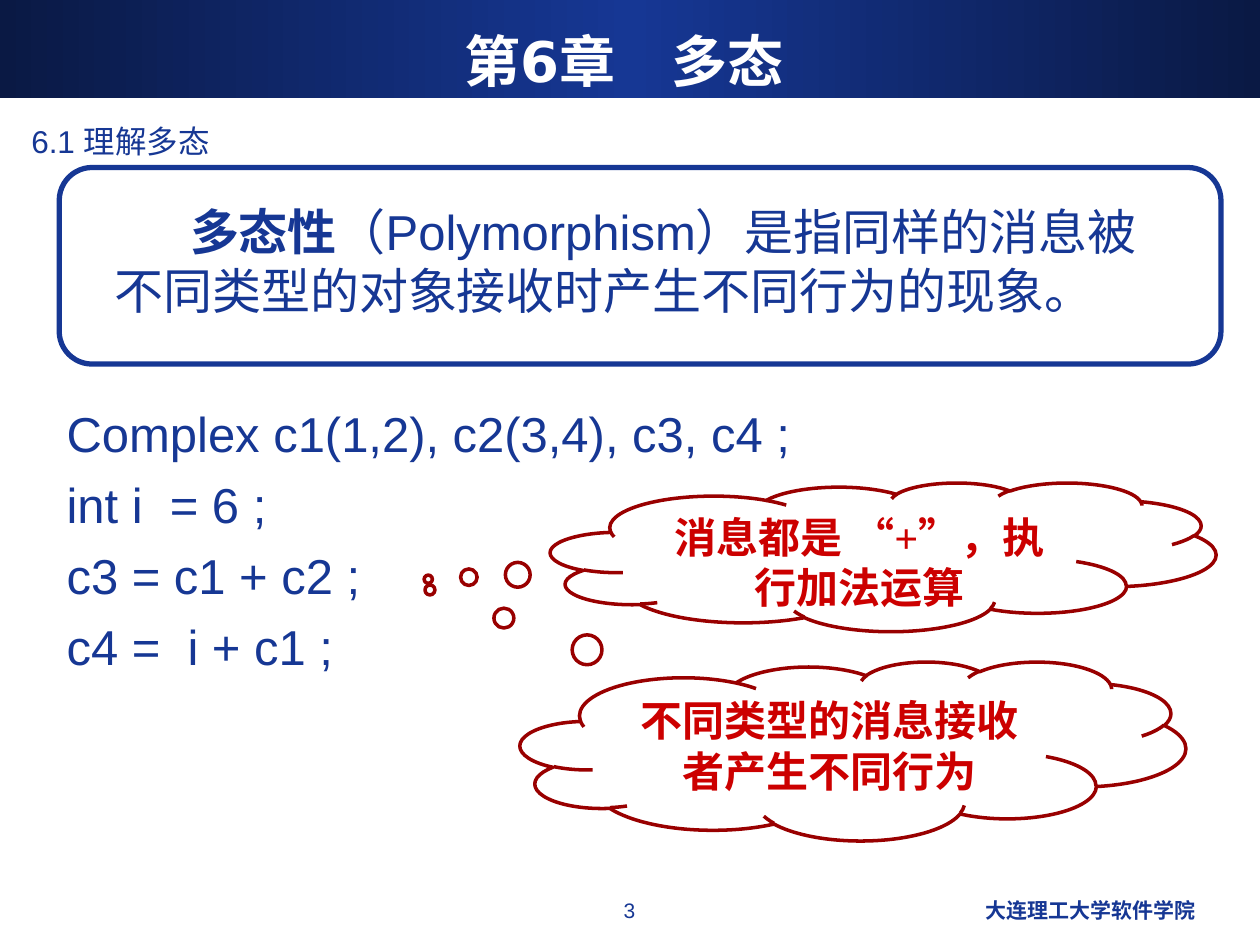
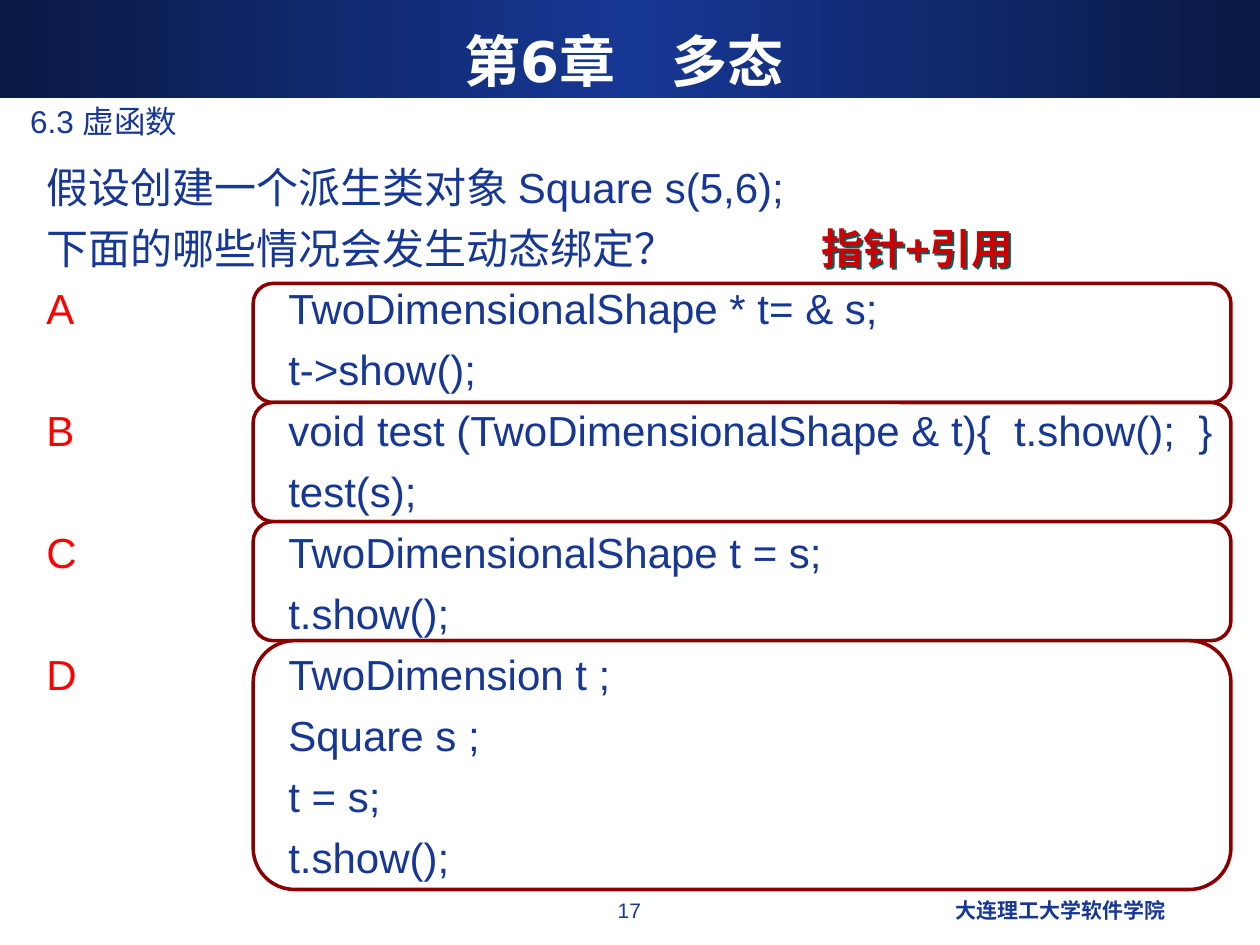
import copy

import pptx
import pptx.dml.color
import pptx.enum.shapes
import pptx.enum.text
import pptx.oxml
import pptx.oxml.ns
import pptx.util
from pptx.util import Inches

NAVY = pptx.dml.color.RGBColor(0x16, 0x37, 0x94)
DARK_NAVY = pptx.dml.color.RGBColor(0x0A, 0x19, 0x44)
WHITE = pptx.dml.color.RGBColor(0xFF, 0xFF, 0xFF)
RED = pptx.dml.color.RGBColor(0xFF, 0x00, 0x00)
CRIMSON = pptx.dml.color.RGBColor(0xCC, 0x00, 0x00)
CLOUD_LINE = pptx.dml.color.RGBColor(0x99, 0x00, 0x00)
OPTION_LINE = pptx.dml.color.RGBColor(0x8A, 0x00, 0x00)
SHADOW = pptx.dml.color.RGBColor(0x00, 0x60, 0x60)

ALIGN = pptx.enum.text.PP_ALIGN
ANCHOR = pptx.enum.text.MSO_ANCHOR
SHAPE = pptx.enum.shapes.MSO_SHAPE
CHAPTER = "第6章　多态"
SCHOOL = "大连理工大学软件学院"
SPACING = 0.25
CODE_TAB = 1.92
OPTIONS = [
    ("A", ["TwoDimensionalShape * t= & s;", "t->show();"]),
    ("B", ["void test (TwoDimensionalShape & t){  t.show();  }", "test(s);"]),
    ("C", ["TwoDimensionalShape t = s;", "t.show();"]),
    ("D", ["TwoDimension t ;", "Square s ;", "t = s;", "t.show();"]),
]


def format_run(run, size, color=NAVY, bold=False, font="Arial"):
    """Set the look of one run."""
    run.font.size = pptx.util.Pt(size)
    run.font.color.rgb = color
    run.font.bold = bold
    run.font.name = font


def write_lines(text_frame, lines, size, align=ALIGN.LEFT, **look):
    """Write one paragraph per line with even spacing."""
    text_frame.word_wrap = True
    text_frame.text = "\n".join(lines)
    for index, paragraph in enumerate(text_frame.paragraphs):
        paragraph.alignment = align
        if index:
            paragraph.space_before = pptx.util.Pt(size * SPACING)
        for run in paragraph.runs:
            format_run(run, size, **look)


def add_text(slide, box, lines, size, **look):
    """Add a text box."""
    shape = slide.shapes.add_textbox(*map(Inches, box))
    write_lines(shape.text_frame, lines, size, **look)
    return shape


def add_outline(slide, kind, box, color, width, fill=None):
    """Add an outlined shape without shadow."""
    shape = slide.shapes.add_shape(kind, *map(Inches, box))
    shape.shadow.inherit = False
    if fill is None:
        shape.fill.background()
    else:
        shape.fill.solid()
        shape.fill.fore_color.rgb = fill
    shape.line.color.rgb = color
    shape.line.width = pptx.util.Pt(width)
    return shape


def add_band(slide, box):
    """Add the gradient band that is darkest at both ends."""
    band = slide.shapes.add_shape(SHAPE.RECTANGLE, *map(Inches, box))
    band.shadow.inherit = False
    band.line.fill.background()
    band.fill.gradient()
    band.fill.gradient_angle = 0
    stops = band._element.spPr.find(".//" + pptx.oxml.ns.qn("a:gsLst"))
    stops.append(copy.deepcopy(stops[0]))
    colors = (DARK_NAVY, NAVY, DARK_NAVY)
    for index, (stop, color) in enumerate(zip(band.fill.gradient_stops, colors)):
        stop.position = index / 2
        stop.color.rgb = color


def add_lesson_slide(presentation, section, section_at, number, school_left):
    """Add a slide with the band, chapter title, section name and footers."""
    slide = presentation.slides.add_slide(presentation.slide_layouts[6])
    add_band(slide, (0, 0, 10, 0.78))
    title = add_text(slide, (0.33, 0.17, 9.25, 0.62), [CHAPTER], 32, align=ALIGN.CENTER,
                     color=WHITE, bold=True, font="DejaVu Sans")
    title.text_frame.vertical_anchor = ANCHOR.MIDDLE
    add_text(slide, (*section_at, 9, 0.41), [section], 18)
    add_text(slide, (3.83, 7.07, 2.33, 0.35), [number], 12, align=ALIGN.CENTER)
    add_text(slide, (school_left, 7.07, 3.17, 0.35), [SCHOOL], 12, align=ALIGN.RIGHT, bold=True)
    return slide


def add_definition(slide, box):
    """Add the framed definition with its term in bold."""
    left, top, width, height = box
    frame = add_outline(slide, SHAPE.ROUNDED_RECTANGLE, box, NAVY, 3)
    frame.adjustments[0] = 0.167
    definition = add_text(slide, (left + 0.34, top + 0.22, width - 0.81, height - 0.4),
                          ["多态性"], 28, bold=True)
    paragraph = definition.text_frame.paragraphs[0]
    paragraph._p.get_or_add_pPr().set("indent", str(Inches(0.6)))
    explanation = paragraph.add_run()
    explanation.text = "（Polymorphism）是指同样的消息被不同类型的对象接收时产生不同行为的现象。"
    format_run(explanation, 28)


def add_cloud(slide, box, tail, words):
    """Add a thought cloud whose bubbles lead to the tail."""
    cloud = add_outline(slide, SHAPE.CLOUD_CALLOUT, box, CLOUD_LINE, 2, WHITE)
    for index, offset in enumerate(tail):
        cloud.adjustments[index] = offset
    cloud.text_frame.vertical_anchor = ANCHOR.TOP
    write_lines(cloud.text_frame, [words], 24, align=ALIGN.CENTER, color=CRIMSON,
                bold=True, font="Times New Roman")


def add_option_frames(slide, box):
    """Stack one rounded frame per option, the last one taller."""
    left, top, width, height = box
    row = 0.945
    for index in range(len(OPTIONS)):
        offset = index * row
        tall = height - offset if index == len(OPTIONS) - 1 else row
        frame = add_outline(slide, SHAPE.ROUNDED_RECTANGLE, (left, top + offset, width, tall),
                            OPTION_LINE, 2, WHITE)
        frame.adjustments[0] = 0.167


def add_question(slide, box):
    """Add the question and its options, with code at a tab stop."""
    lines = ["假设创建一个派生类对象 Square s(5,6);", "下面的哪些情况会发生动态绑定？"]
    for letter, code in OPTIONS:
        lines += [f"{letter if index == 0 else ''}\t{line}" for index, line in enumerate(code)]
    question = add_text(slide, box, lines, 24)
    for paragraph in question.text_frame.paragraphs[2:]:
        letter, code = paragraph.text.split("\t")
        tabs = pptx.oxml.parse_xml(
            f'<a:tabLst {pptx.oxml.ns.nsdecls("a")}>'
            f'<a:tab pos="{Inches(CODE_TAB)}" algn="l"/></a:tabLst>')
        paragraph._p.get_or_add_pPr().append(tabs)
        if letter:
            paragraph.runs[0].text = letter
            format_run(paragraph.runs[0], 24, RED)
            code_run = paragraph.add_run()
            code_run.text = "\t" + code
            format_run(code_run, 24)


def add_answer(slide, box):
    """Add the answer with a shadow behind its letters."""
    answer = add_text(slide, box, ["指针+引用"], 24, color=CRIMSON, bold=True)
    shadow = pptx.oxml.parse_xml(
        f'<a:effectLst {pptx.oxml.ns.nsdecls("a")}>'
        f'<a:outerShdw dist="{Inches(0.02)}" dir="2700000"><a:srgbClr val="{SHADOW}"/>'
        '</a:outerShdw></a:effectLst>')
    answer._element.spPr.append(shadow)


def build_concept_slide(presentation):
    """Build the slide that explains polymorphism."""
    slide = add_lesson_slide(presentation, "6.1 理解多态", (0.15, 0.92), "3", 6.42)
    add_definition(slide, (0.47, 1.33, 9.22, 1.56))
    add_text(slide, (0.43, 3.15, 8.79, 2.4),
             ["Complex c1(1,2), c2(3,4), c3, c4 ;", "int i  = 6 ;",
              "c3 = c1 + c2 ;", "c4 =  i + c1 ;"], 28)
    add_cloud(slide, (4.37, 3.83, 5.28, 1.18), (-0.684, 0.15), "消息都是 “+”，执行加法运算")
    add_cloud(slide, (4.13, 5.25, 5.28, 1.42), (-0.636, -0.9), "不同类型的消息接收者产生不同行为")


def build_binding_slide(presentation):
    """Build the slide that asks about dynamic binding."""
    slide = add_lesson_slide(presentation, "6.3 虚函数", (0.14, 0.76), "17", 6.18)
    add_option_frames(slide, (2.01, 2.25, 7.76, 4.81))
    add_question(slide, (0.27, 1.23, 9.73, 5.74))
    add_answer(slide, (6.42, 1.72, 2.44, 0.5))


def main():
    """Create and save the presentation."""
    presentation = pptx.Presentation()
    presentation.slide_width = Inches(10)
    presentation.slide_height = Inches(7.5)
    build_concept_slide(presentation)
    build_binding_slide(presentation)
    presentation.save("out.pptx")


if __name__ == "__main__":
    main()
